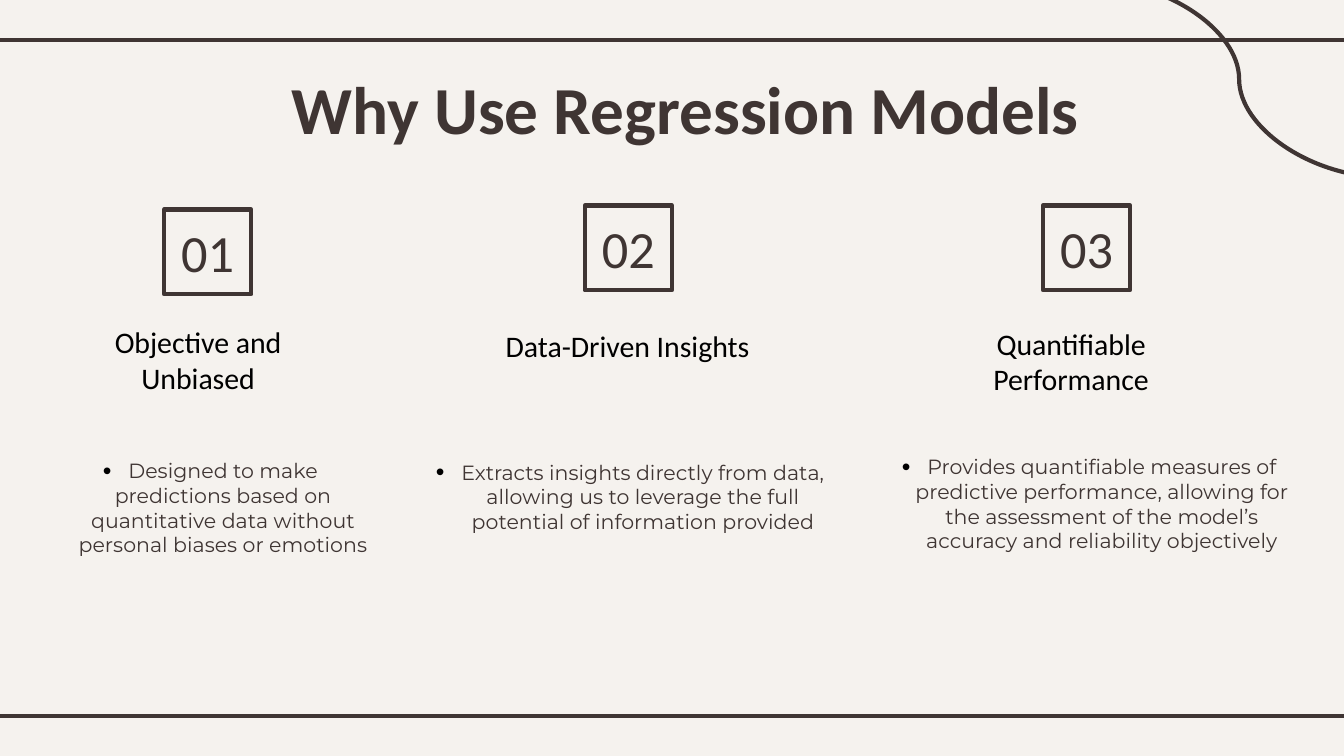
"""Build the slide on why to use regression models."""
from lxml.etree import SubElement
from pptx import Presentation
from pptx.dml.color import RGBColor
from pptx.enum.shapes import MSO_CONNECTOR as LINK, MSO_SHAPE
from pptx.enum.text import MSO_ANCHOR as ANCHOR, PP_ALIGN
from pptx.oxml.ns import qn
from pptx.util import Inches, Pt

CREAM = RGBColor(0xF5, 0xF2, 0xEE)
BROWN = RGBColor(0x3F, 0x35, 0x33)
BLACK = RGBColor(0x00, 0x00, 0x00)

deck = Presentation()
deck.slide_width = Inches(10)
deck.slide_height = Inches(10 * 9 / 16)
slide = deck.slides.add_slide(deck.slide_layouts[6])
slide.background.fill.solid()
slide.background.fill.fore_color.rgb = CREAM


def add_text(text, box, size, color=BROWN, font="Calibri", bold=False, anchor=ANCHOR.TOP):
    frame = slide.shapes.add_textbox(*map(Inches, box)).text_frame
    frame.word_wrap = True
    frame.vertical_anchor = anchor
    frame.margin_left = frame.margin_right = Inches(0.1)
    frame.margin_top = frame.margin_bottom = Inches(0.1)
    frame.text = text
    paragraph = frame.paragraphs[0]
    paragraph.alignment = PP_ALIGN.CENTER
    style = paragraph.runs[0].font
    style.name, style.size, style.bold = font, Pt(size), bold
    style.color.rgb = color
    return paragraph


def add_bullet(paragraph):
    properties = paragraph._p.get_or_add_pPr()
    properties.set("marL", str(Inches(0.19)))
    properties.set("indent", str(-Inches(0.19)))
    bullet_color = SubElement(properties, qn("a:buClr"))
    SubElement(bullet_color, qn("a:srgbClr"), val=str(BLACK))
    SubElement(properties, qn("a:buSzPct"), val="120000")
    SubElement(properties, qn("a:buFont"), typeface="Arial")
    SubElement(properties, qn("a:buChar"), char="•")


for kind, ends in [
    (LINK.STRAIGHT, (-0.08, 0.3, 10.08, 0.3)),
    (LINK.STRAIGHT, (-0.08, 5.33, 10.08, 5.33)),
    (LINK.CURVE, (8.13, -0.14, 10.31, 1.32)),
]:
    rule = slide.shapes.add_connector(kind, *map(Inches, ends))
    rule.line.color.rgb = BROWN
    rule.line.width = Pt(2.25)
    SubElement(rule._element.spPr, qn("a:effectLst"))

reasons = [
    ("Objective and Unbiased", (0.66, 2.31, 1.63, 0.54), (1.22, 1.56),
     "Designed to make predictions based on quantitative data without personal biases or emotions",
     (0.22, 3.31, 2.69, 0.87)),
    ("Data-Driven Insights", (3.57, 2.34, 2.2, 0.57), (4.35, 1.53),
     "Extracts insights directly from data, allowing us to leverage the full potential of "
     "information provided",
     (3.14, 3.32, 3.1, 0.74)),
    ("Quantifiable Performance", (6.81, 2.32, 2.32, 0.54), (7.76, 1.53),
     "Provides quantifiable measures of predictive performance, allowing for the assessment of "
     "the model’s accuracy and reliability objectively",
     (6.48, 3.28, 3.25, 0.93)),
]

for number, (heading, heading_box, (left, top), detail, detail_box) in enumerate(reasons, 1):
    add_text(heading, heading_box, 16, BLACK)
    badge = slide.shapes.add_shape(
        MSO_SHAPE.RECTANGLE, Inches(left), Inches(top), Inches(0.65), Inches(0.63))
    badge.shadow.inherit = False
    badge.fill.solid()
    badge.fill.fore_color.rgb = CREAM
    badge.line.color.rgb = BROWN
    badge.line.width = Pt(2.25)
    add_text(f"{number:02}", (left - 0.03, top + 0.09, 0.71, 0.45), 28, anchor=ANCHOR.MIDDLE)
    add_bullet(add_text(detail, detail_box, 11, font="Montserrat"))

add_text("Why Use Regression Models", (0.98, 0.4, 8.24, 0.74), 36, bold=True)

deck.save("out.pptx")
